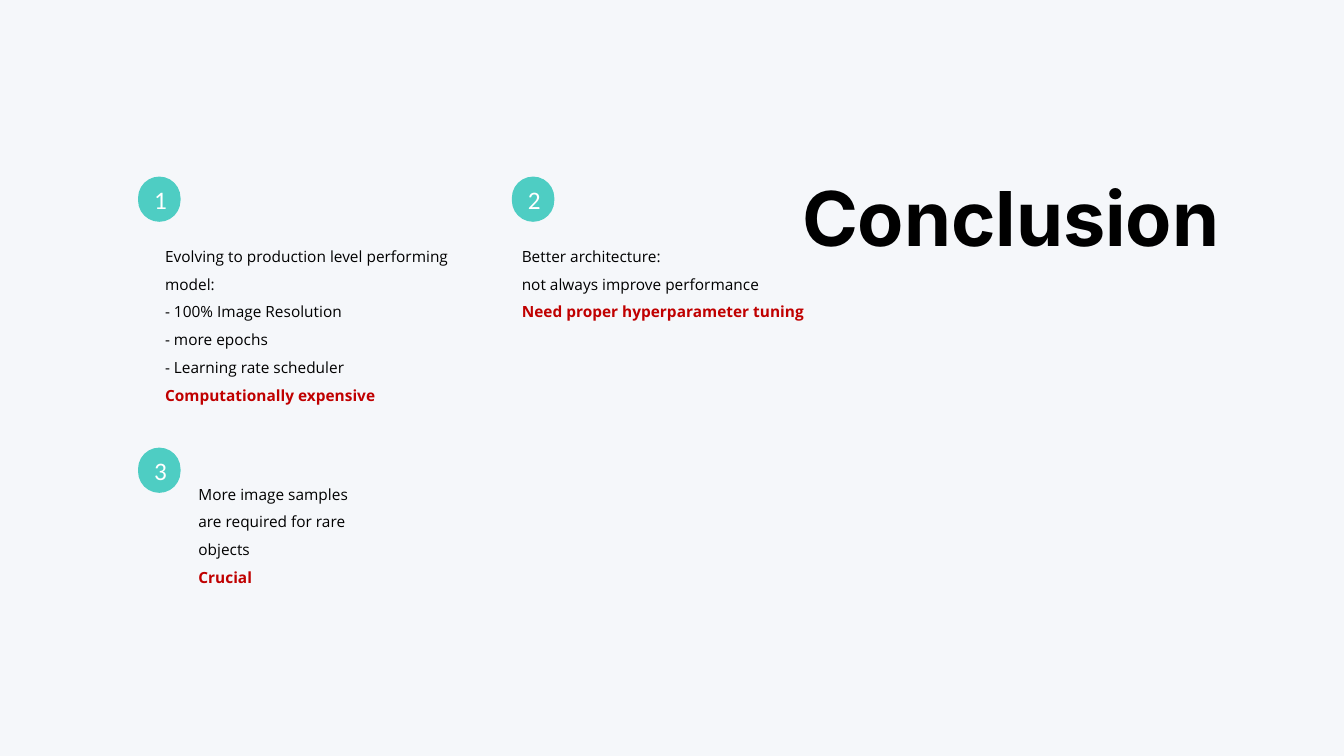
from pptx import Presentation
from pptx.dml.color import RGBColor
from pptx.enum.shapes import MSO_SHAPE
from pptx.enum.text import MSO_ANCHOR, MSO_AUTO_SIZE, PP_ALIGN
from pptx.util import Cm, Pt

ROUND = MSO_SHAPE.ROUNDED_RECTANGLE
TOP, MIDDLE = MSO_ANCHOR.TOP, MSO_ANCHOR.MIDDLE
LEFT, CENTER = PP_ALIGN.LEFT, PP_ALIGN.CENTER
GROW = MSO_AUTO_SIZE.SHAPE_TO_FIT_TEXT

COLORS = {"back": "F5F7FA", "badge": "4ECDC3", "number": "FFFFFF",
          "text": "000000", "key": "C00000"}
TITLE = "Conclusion"
TITLE_BOX = (19.96, 4.17, 11.4, 2.57)
BADGE = (1.07, 1.14)
POINTS = [
    {"badge": (3.48, 4.45), "box": (3.91, 5.87, 7.85, 4.42),
     "lines": ["Evolving to production level performing model:",
               "- 100% Image Resolution", "- more epochs",
               "- Learning rate scheduler"],
     "key": "Computationally expensive"},
    {"badge": (12.9, 4.45), "box": (12.9, 5.87, 8.1, 2.29),
     "lines": ["Better architecture:", "not always improve performance"],
     "key": "Need proper hyperparameter tuning"},
    {"badge": (3.48, 11.28), "box": (4.75, 11.86, 4.5, 3),
     "lines": ["More image samples are required for rare objects"],
     "key": "Crucial"},
]


def color(name):
    return RGBColor.from_string(COLORS[name])


def style(para, face, size, name, bold=False):
    for run in para.runs:
        run.font.name = face
        run.font.size = Pt(size)
        run.font.bold = bold
        run.font.color.rgb = color(name)


def add_badge(slide, number, place):
    badge = slide.shapes.add_shape(ROUND, *map(Cm, place + BADGE))
    badge.adjustments[0] = 0.5
    badge.shadow.inherit = False
    badge.fill.solid()
    badge.fill.fore_color.rgb = color("badge")
    badge.line.fill.background()
    frame = badge.text_frame
    frame.text = str(number)
    frame.vertical_anchor = MIDDLE
    frame.paragraphs[0].alignment = CENTER
    style(frame.paragraphs[0], "Calibri", 18, "number")


def add_point(slide, point):
    frame = slide.shapes.add_textbox(*map(Cm, point["box"])).text_frame
    frame.word_wrap = True
    frame.auto_size = GROW
    frame.text = "\n".join(point["lines"] + [point["key"]])
    for para in frame.paragraphs:
        para.line_spacing = 1.5
        style(para, "Open Sans", 11, "text")
    style(frame.paragraphs[-1], "Open Sans", 11, "key", True)


def add_title(slide):
    title = slide.shapes.title
    title.left, title.top, title.width, title.height = map(Cm, TITLE_BOX)
    frame = title.text_frame
    frame.text = TITLE
    frame.word_wrap = True
    frame.auto_size = GROW
    frame.vertical_anchor = TOP
    frame.paragraphs[0].alignment = LEFT
    style(frame.paragraphs[0], "Inter", 54, "text", True)


def main():
    deck = Presentation()
    deck.slide_width, deck.slide_height = Cm(33.87), Cm(19.05)
    slide = deck.slides.add_slide(deck.slide_layouts[5])
    slide.background.fill.solid()
    slide.background.fill.fore_color.rgb = color("back")
    add_title(slide)
    for number, point in enumerate(POINTS, 1):
        add_badge(slide, number, point["badge"])
        add_point(slide, point)
    deck.save("out.pptx")


if __name__ == "__main__":
    main()
